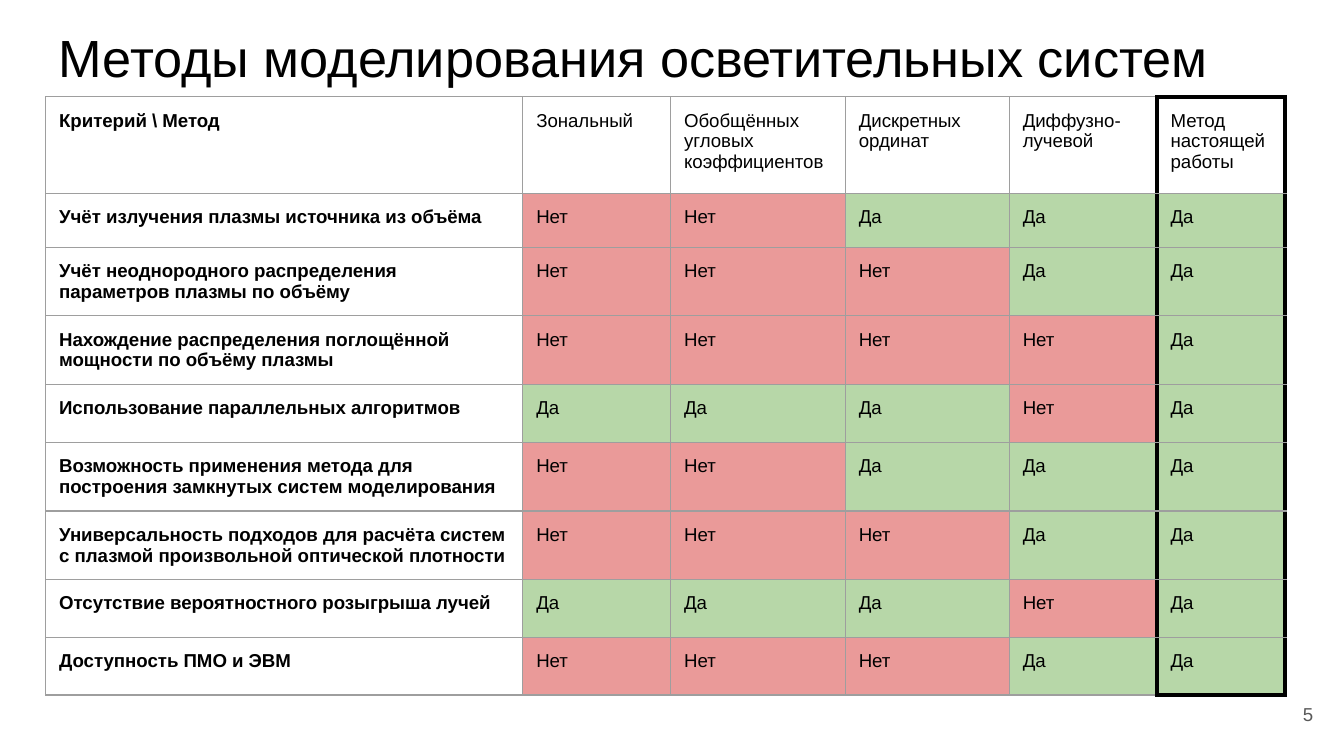
from lxml import etree
from pptx import Presentation
from pptx.dml.color import RGBColor
from pptx.enum import text
from pptx.oxml import ns
from pptx.util import Inches, Pt

HUES = {"ink": "000000", "grid": "9E9E9E", "page": "595959",
        "Нет": "EA9A99", "Да": "B7D7A8"}
COLS = [3.55, 1.1, 1.3, 1.22, 1.1, 0.95]
ROWS = [0.72, 0.4] + [0.43] * 7
HEAD = ["Критерий \\ Метод", "Зональный", "Обобщённых угловых коэффициентов",
        "Дискретных ординат", "Диффузно-лучевой", "Метод настоящей работы"]
# One mark per method: + is "Да", - is "Нет"
MARKS = [
    ("Учёт излучения плазмы источника из объёма", "--+++"),
    ("Учёт неоднородного распределения параметров плазмы по объёму", "---++"),
    ("Нахождение распределения поглощённой мощности по объёму плазмы", "----+"),
    ("Использование параллельных алгоритмов", "+++-+"),
    ("Возможность применения метода для построения замкнутых систем моделирования",
     "--+++"),
    ("Универсальность подходов для расчёта систем с плазмой произвольной "
     "оптической плотности", "---++"),
    ("Отсутствие вероятностного розыгрыша лучей", "+++-+"),
    ("Доступность ПМО и ЭВМ", "---++"),
]


def style(par, size, hue="ink", bold=False):
    for run in par.runs:
        run.font.name = "Arial"
        run.font.size = Pt(size)
        run.font.bold = bold
        run.font.color.rgb = RGBColor.from_string(HUES[hue])


def pad(item):
    """Set equal margins on a cell or a text frame."""
    item.margin_left = item.margin_right = Inches(0.1)
    item.margin_top = item.margin_bottom = Inches(0.1)


def add_text(slide, words, box, size, hue="ink", align=text.PP_ALIGN.LEFT,
             anchor=text.MSO_ANCHOR.TOP):
    frame = slide.shapes.add_textbox(*map(Inches, box)).text_frame
    frame.word_wrap = True
    frame.vertical_anchor = anchor
    pad(frame)
    frame.text = words
    par = frame.paragraphs[0]
    par.alignment = align
    style(par, size, hue)


def add_edge(cell, side, thick):
    hue, width = ("ink", 2.25) if thick else ("grid", 0.75)
    props = cell._tc.get_or_add_tcPr()
    line = etree.SubElement(props, ns.qn("a:ln" + side), w=str(Pt(width)))
    fill = etree.SubElement(line, ns.qn("a:solidFill"))
    etree.SubElement(fill, ns.qn("a:srgbClr"), val=HUES[hue])


def fill_cell(cell, words, row, col):
    pad(cell)
    cell.text = words
    style(cell.text_frame.paragraphs[0], 10, bold=col == 0)
    # The last column stands in a thick frame
    last = col == len(COLS) - 1
    add_edge(cell, "L", last)
    add_edge(cell, "R", col >= len(COLS) - 2)
    add_edge(cell, "T", last and row == 0)
    add_edge(cell, "B", last and row == len(ROWS) - 1)
    if words in HUES:
        cell.fill.solid()
        cell.fill.fore_color.rgb = RGBColor.from_string(HUES[words])
    else:
        cell.fill.background()


def add_grid(slide):
    lines = [HEAD] + [[name] + ["Да" if mark == "+" else "Нет" for mark in marks]
                      for name, marks in MARKS]
    box = map(Inches, (0.34, 0.72, 9.22, 4.56))
    table = slide.shapes.add_table(len(ROWS), len(COLS), *box).table
    table.first_row = table.horz_banding = False
    for col, width in zip(table.columns, COLS):
        col.width = Inches(width)
    for row, height in zip(table.rows, ROWS):
        row.height = Inches(height)
    for row, line in enumerate(lines):
        for col, words in enumerate(line):
            fill_cell(table.cell(row, col), words, row, col)


def main():
    deck = Presentation()
    deck.slide_width = Inches(10)
    deck.slide_height = deck.slide_width * 9 // 16
    slide = deck.slides.add_slide(deck.slide_layouts[6])
    add_grid(slide)
    add_text(slide, "Методы моделирования осветительных систем",
             (0.34, 0.09, 9.32, 0.63), 28)
    add_text(slide, "5", (9.27, 5.1, 0.6, 0.43), 10, "page",
             text.PP_ALIGN.RIGHT, text.MSO_ANCHOR.MIDDLE)
    deck.save("out.pptx")


if __name__ == "__main__":
    main()
